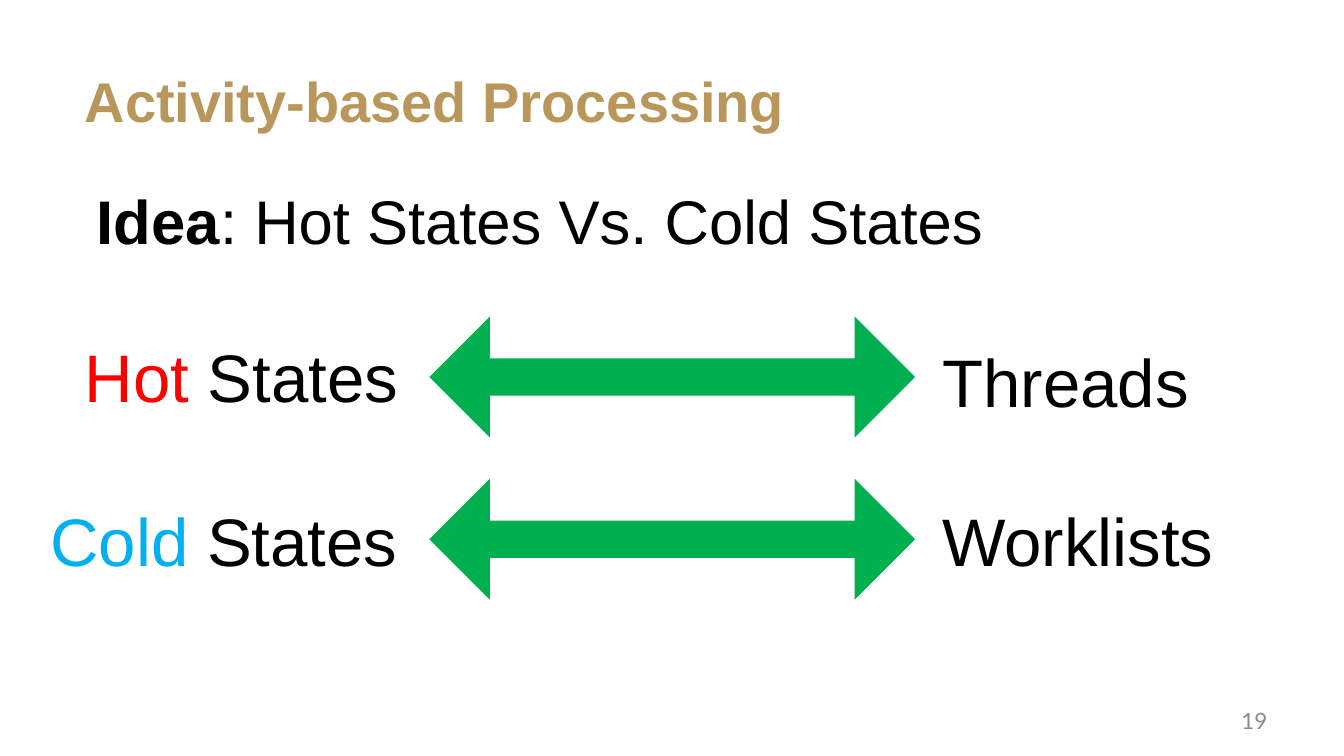
from dataclasses import dataclass

import pptx
import pptx.dml.color
import pptx.enum.shapes
import pptx.enum.text
import pptx.oxml.ns
import pptx.util
from lxml import etree

Pt = pptx.util.Pt
ANCHOR = pptx.enum.text.MSO_ANCHOR
ALIGN = pptx.enum.text.PP_ALIGN
FIT = pptx.enum.text.MSO_AUTO_SIZE


@dataclass(frozen=True)
class Theme:
    """Colours, fonts and type sizes of the slide."""
    gold: str = "B9975B"
    black: str = "000000"
    grey: str = "8C8C8C"
    hot: str = "FF0000"
    cold: str = "00B0F0"
    arrow: str = "00B050"
    font: str = "Arial"
    number_font: str = "Lato"
    title_size: int = 40
    idea_size: int = 44
    label_size: int = 48
    number_size: int = 16


THEME = Theme()


def rgb(color):
    """Turn a hex string into a colour."""
    return pptx.dml.color.RGBColor.from_string(color)


def place(sp, left, top, width, height):
    """Move and size a shape, in points."""
    sp.left, sp.top, sp.width, sp.height = map(Pt, (left, top, width, height))


def style(p, size, color, name=THEME.font, align=ALIGN.LEFT):
    """Format a whole paragraph."""
    p.font.size = Pt(size)
    p.font.name = name
    p.font.color.rgb = rgb(color)
    p.alignment = align


def add_title(s, text):
    """Fill the title placeholder."""
    sp = s.shapes.title
    place(sp, 53.3, 26.6, 864, 90)
    tf = sp.text_frame
    tf.text = text
    tf.auto_size = FIT.NONE
    tf.vertical_anchor = ANCHOR.MIDDLE
    style(tf.paragraphs[0], THEME.title_size, THEME.gold)
    tf.paragraphs[0].font.bold = True


def add_idea(s, lead, text):
    """Fill the body placeholder with a bold lead and its text, unbulleted."""
    sp = s.placeholders[1]
    place(sp, 61.9, 126.7, 711.4, 65.5)
    tf = sp.text_frame
    tf.auto_size = FIT.NONE
    p = tf.paragraphs[0]
    style(p, THEME.idea_size, THEME.black)
    r = p.add_run()
    r.text = lead
    r.font.bold = True
    p.add_run().text = text
    pPr = p._p.get_or_add_pPr()
    pPr.set("marL", "0")
    pPr.set("indent", "0")
    bullet = etree.Element(pptx.oxml.ns.qn("a:buNone"))
    pPr.insert_element_before(bullet, "a:tabLst", "a:defRPr", "a:extLst")


def add_label(s, left, top, width, runs):
    """Add a one-line label made of (text, colour) runs."""
    sp = s.shapes.add_textbox(Pt(left), Pt(top), Pt(width), Pt(65.5))
    tf = sp.text_frame
    tf.word_wrap = False
    tf.auto_size = FIT.SHAPE_TO_FIT_TEXT
    p = tf.paragraphs[0]
    style(p, THEME.label_size, THEME.black)
    for text, color in runs:
        r = p.add_run()
        r.text = text
        r.font.color.rgb = rgb(color)


def add_arrow(s, top):
    """Add a double-headed block arrow."""
    kind = pptx.enum.shapes.MSO_SHAPE.LEFT_RIGHT_ARROW
    sp = s.shapes.add_shape(kind, Pt(306.7), Pt(top), Pt(347), Pt(86.4))
    sp.adjustments[0] = 0.308
    sp.adjustments[1] = 0.5
    sp.shadow.inherit = False
    sp.fill.solid()
    sp.fill.fore_color.rgb = rgb(THEME.arrow)
    sp.line.fill.background()


def add_number(s, text):
    """Add the page number at the bottom right."""
    sp = s.shapes.add_textbox(Pt(688.3), Pt(500.4), Pt(224), Pt(28.8))
    tf = sp.text_frame
    tf.word_wrap = True
    tf.vertical_anchor = ANCHOR.MIDDLE
    p = tf.paragraphs[0]
    p.text = text
    p.space_after = Pt(6)
    style(p, THEME.number_size, THEME.grey, THEME.number_font, ALIGN.RIGHT)


def main():
    """Build the slide and save it."""
    prs = pptx.Presentation()
    prs.slide_width, prs.slide_height = Pt(960), Pt(540)
    s = prs.slides.add_slide(prs.slide_layouts[1])
    add_title(s, "Activity-based Processing")
    add_idea(s, "Idea", ": Hot States Vs. Cold States")
    add_number(s, "19")
    states_right = 294.5
    rows = [
        ("Hot", THEME.hot, 241.2, 236.2, "Threads", 193, 239.8, 226.1),
        ("Cold", THEME.cold, 265.7, 352.8, "Worklists", 210.2, 352.8, 342),
    ]
    for state, color, width, top, target, target_width, target_top, arrow_top in rows:
        add_arrow(s, arrow_top)
        add_label(s, 666, target_top, target_width, [(target, THEME.black)])
        add_label(s, states_right - width, top, width,
                  [(state, color), (" States", THEME.black)])
    prs.save("out.pptx")


if __name__ == "__main__":
    main()
